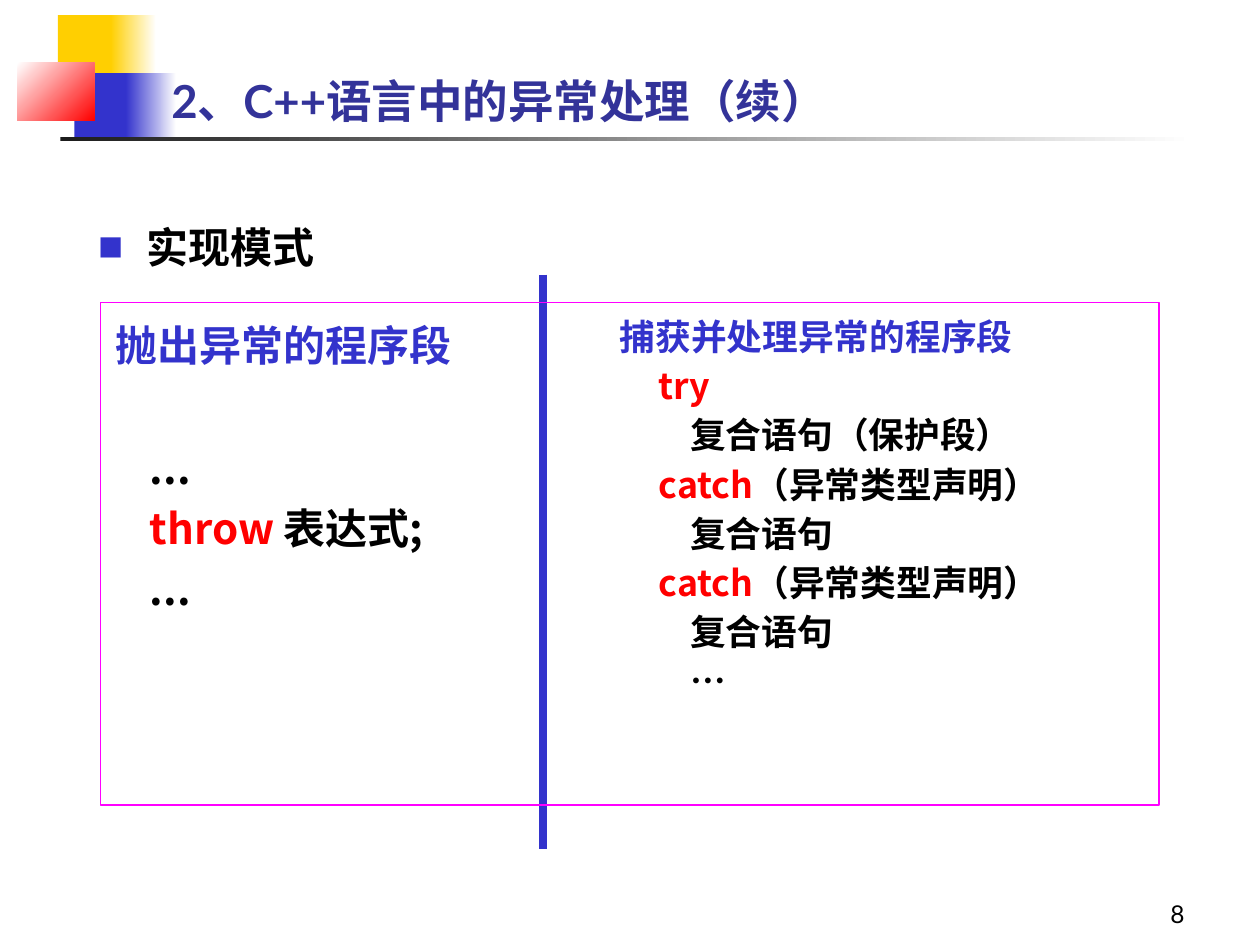
from pptx import Presentation
from pptx.dml.color import RGBColor
from pptx.enum.shapes import MSO_CONNECTOR, MSO_SHAPE
from pptx.enum.text import MSO_ANCHOR, PP_ALIGN
from pptx.oxml.ns import qn
from pptx.util import Inches, Pt
from lxml import etree

RECT = MSO_SHAPE.RECTANGLE
LINE = MSO_CONNECTOR.STRAIGHT
TOP, BOTTOM = MSO_ANCHOR.TOP, MSO_ANCHOR.BOTTOM
LEFT, RIGHT = PP_ALIGN.LEFT, PP_ALIGN.RIGHT
LATO, NOTO = "Lato", "Noto Sans CJK SC"
BLACK, BLUE, RED, WHITE = "000000", "3333CC", "FF0000", "FFFFFF"
GOLD, NAVY, PINK, DARK = "FFCF01", "333399", "FF00FF", "1C1C1C"

# Content: each line is (indent, space before, runs)
TITLE = "2、C++语言中的异常处理（续）"
TOPIC = "实现模式"
THROW = [
    (0.23, 6, [("抛出异常的程序段", BLUE)]),
    (0.5, 41, [("...", BLACK)]),
    (0.5, 6, [("throw ", RED), ("表达式;", BLACK)]),
    (0.5, 6, [("...", BLACK)]),
]
CLAUSE = [
    (0.5, 6, [("catch", RED), ("（异常类型声明）", BLACK)]),
    (0.75, 6, [("复合语句", BLACK)]),
]
CATCH = [
    (0.19, 6, [("捕获并处理异常的程序段", BLUE)]),
    (0.5, 6, [("try", RED)]),
    (0.75, 6, [("复合语句（保护段）", BLACK)]),
    *CLAUSE * 2,
    (0.75, 6, [("…", BLACK)]),
]
# Template blocks: box, first colour, last colour, angle
BLOCKS = [
    ((0.46, 0.12, 0.48, 0.52), GOLD, None, 0),
    ((0.88, 0.12, 0.36, 0.52), GOLD, WHITE, 0),
    ((0.59, 0.58, 0.46, 0.52), BLUE, None, 0),
    ((1, 0.58, 0.4, 0.52), BLUE, WHITE, 0),
    ((0.14, 0.5, 0.61, 0.46), WHITE, RED, 315),
    ((0.48, 1.09, 9, 0.03), DARK, WHITE, 0),
]


def rgb(code):
    return RGBColor.from_string(code)


def place(shape, box):
    shape.left, shape.top, shape.width, shape.height = map(Inches, box)


def write(shape, lines, size=24, font=LATO, bold=True, space=1.0,
          anchor=TOP, align=LEFT, inset=(0.1, 0.05)):
    frame = shape.text_frame
    frame.word_wrap = True
    frame.vertical_anchor = anchor
    frame.margin_left = frame.margin_right = Inches(inset[0])
    frame.margin_top = frame.margin_bottom = Inches(inset[1])
    for i, (indent, before, runs) in enumerate(lines):
        para = frame.add_paragraph() if i else frame.paragraphs[0]
        para.alignment, para.line_spacing = align, space
        para.space_before = Pt(before)
        props = para._p.get_or_add_pPr()
        props.set("marL", str(Inches(indent)))
        props.set("indent", "0")
        for text, color in runs:
            run = para.add_run()
            run.text = text
            run.font.size, run.font.bold = Pt(size), bold
            run.font.name = font
            run.font.color.rgb = rgb(color)
            face = etree.SubElement(run._r.get_or_add_rPr(), qn("a:ea"))
            face.set("typeface", NOTO)
    return frame


def bullet(para, mark, color, scale, hang):
    props = para._p.get_or_add_pPr()
    props.set("indent", str(-Inches(hang)))
    tint = etree.SubElement(props, qn("a:buClr"))
    etree.SubElement(tint, qn("a:srgbClr")).set("val", color)
    etree.SubElement(props, qn("a:buSzPct")).set("val", str(scale * 1000))
    etree.SubElement(props, qn("a:buFont")).set("typeface", NOTO)
    etree.SubElement(props, qn("a:buChar")).set("char", mark)


deck = Presentation()
deck.slide_width, deck.slide_height = Inches(10), Inches(7.5)
slide = deck.slides.add_slide(deck.slide_layouts[1])
shapes = slide.shapes
title, body = shapes.title, slide.placeholders[1]


def rect(box):
    shape = shapes.add_shape(RECT, *map(Inches, box))
    shape.shadow.inherit = False
    return shape


def label(box, lines, **look):
    return write(shapes.add_textbox(*map(Inches, box)), lines, **look)


# Template blocks, kept behind the title
for box, first, last, angle in BLOCKS:
    block = rect(box)
    block.line.fill.background()
    if last:
        block.fill.gradient()
        block.fill.gradient_angle = angle
        for stop, color, spot in zip(block.fill.gradient_stops,
                                     (first, last), (0, 1)):
            stop.color.rgb, stop.position = rgb(color), spot
    else:
        block.fill.solid()
        block.fill.fore_color.rgb = rgb(first)
    title._element.addprevious(block._element)

# Page number, title and topic
label((7.42, 6.92, 2.08, 0.5), [(0, 0, [("8", BLACK)])],
      size=14, bold=False, anchor=BOTTOM, align=RIGHT)
place(title, (1.26, 0.44, 8.52, 0.62))
write(title, [(0, 0, [(TITLE, NAVY)])], size=26, anchor=BOTTOM)
place(body, (0.68, 1.55, 9.11, 5.91))
topic = write(body, [(0.38, 3, [(TOPIC, BLACK)])], space=1.4)
bullet(topic.paragraphs[0], "■", BLUE, 60, 0.38)

# Two code columns
label((0.59, 2.49, 3.88, 3.33), THROW, font=NOTO)
label((4.63, 2.49, 4.4, 3.33), CATCH, font=NOTO, size=20.4, space=0.9)

# Divider and frame
rule = shapes.add_connector(LINE, Inches(4.31), Inches(2.18),
                            Inches(4.31), Inches(6.74))
rule.line.color.rgb, rule.line.width = rgb(BLUE), Pt(4.5)
etree.SubElement(rule._element.spPr, qn("a:effectLst"))
frame = rect((0.8, 2.4, 8.4, 3.99))
frame.fill.background()
frame.line.color.rgb, frame.line.width = rgb(PINK), Pt(0.75)

deck.save("out.pptx")
